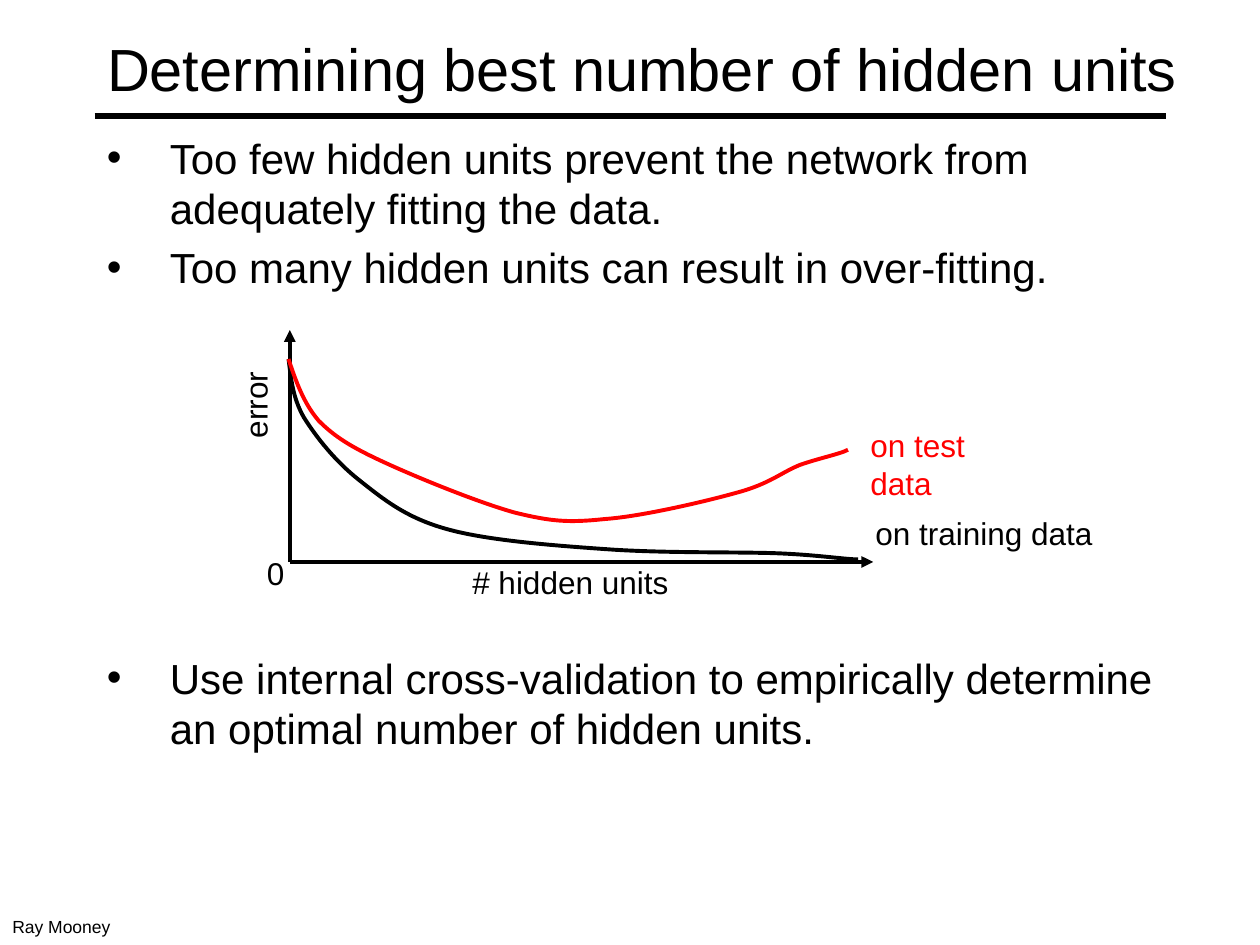
from dataclasses import dataclass

from lxml import etree
from pptx import Presentation
from pptx.dml.color import RGBColor
from pptx.enum.shapes import MSO_CONNECTOR
from pptx.enum.text import MSO_ANCHOR, PP_ALIGN
from pptx.oxml.ns import qn
from pptx.util import Inches, Pt

STRAIGHT = MSO_CONNECTOR.STRAIGHT
LEFT = PP_ALIGN.LEFT
MIDDLE, TOP = MSO_ANCHOR.MIDDLE, MSO_ANCHOR.TOP


@dataclass(frozen=True)
class Theme:
    font: str = "Arial"
    ink: RGBColor = RGBColor(0, 0, 0)
    red: RGBColor = RGBColor(255, 0, 0)
    title: float = 34
    body: float = 24
    label: float = 18
    foot: float = 10
    rule: float = 3
    line: float = 2.25


THEME = Theme()

# Curve points in inches from the shared start: two controls and an end per bend
TRAIN = [
    (0.02, 0.15), (0.03, 0.3), (0.12, 0.46),
    (0.22, 0.62), (0.37, 0.81), (0.56, 0.96),
    (0.75, 1.11), (0.93, 1.26), (1.26, 1.35),
    (1.58, 1.44), (2.11, 1.48), (2.54, 1.51),
    (2.97, 1.54), (3.51, 1.53), (3.84, 1.54),
    (4.17, 1.55), (4.42, 1.59), (4.52, 1.59),
]
TEST = [
    (0.06, 0.18), (0.12, 0.35), (0.24, 0.49),
    (0.37, 0.62), (0.5, 0.7), (0.76, 0.82),
    (1.02, 0.94), (1.51, 1.14), (1.8, 1.22),
    (2.09, 1.29), (2.22, 1.3), (2.51, 1.27),
    (2.8, 1.25), (3.31, 1.13), (3.56, 1.06),
    (3.82, 0.99), (3.91, 0.9), (4.06, 0.84),
    (4.2, 0.79), (4.39, 0.75), (4.44, 0.72),
]


def style(para, size, color):
    para.alignment = LEFT
    for run in para.runs:
        run.font.name = THEME.font
        run.font.size = Pt(size)
        run.font.color.rgb = color


def add_text(slide, box, text, size, color=THEME.ink, wrap=False, turn=0):
    shape = slide.shapes.add_textbox(*map(Inches, box))
    shape.rotation = turn
    frame = shape.text_frame
    frame.word_wrap = wrap
    frame.vertical_anchor = TOP
    frame.text = text
    for para in frame.paragraphs:
        style(para, size, color)
    return frame


def add_line(slide, start, end, width, arrow=False):
    line = slide.shapes.add_connector(STRAIGHT, *map(Inches, start + end))
    line.line.color.rgb = THEME.ink
    line.line.width = Pt(width)
    if arrow:
        tip = etree.SubElement(line.line._get_or_add_ln(), qn("a:tailEnd"))
        tip.set("type", "triangle")
    etree.SubElement(line._element.spPr, qn("a:effectLst"))


def add_curve(slide, start, points, color):
    left, top = start
    build = slide.shapes.build_freeform(Inches(left), Inches(top))
    build.add_line_segments(
        [(Inches(left + x), Inches(top + y)) for x, y in points], close=False)
    shape = build.convert_to_shape()
    shape.shadow.inherit = False
    shape.fill.background()
    shape.line.color.rgb = color
    shape.line.width = Pt(THEME.line)
    # Join each three segments into one smooth bend
    steps = list(shape._element.iter(qn("a:lnTo")))
    for i in range(0, len(steps), 3):
        bend = etree.Element(qn("a:cubicBezTo"))
        steps[i].addprevious(bend)
        for step in steps[i:i + 3]:
            bend.append(step[0])
            step.getparent().remove(step)


def add_title(slide, box, text):
    left, top, width, height = box
    title = slide.shapes.title
    title.left, title.top, title.width, title.height = map(Inches, box)
    frame = title.text_frame
    frame.text = text
    frame.word_wrap = True
    frame.vertical_anchor = MIDDLE
    style(frame.paragraphs[0], THEME.title, THEME.ink)
    # Rule under the title
    base = top + height - 0.08
    add_line(slide, (left, base), (left + 8.5, base), THEME.rule)


def add_body(slide, box, items):
    """Items are (text, space before in points)."""
    text = "\n".join(item for item, gap in items)
    frame = add_text(slide, box, text, THEME.body, wrap=True)
    for para, (item, gap) in zip(frame.paragraphs, items):
        props = para._p.get_or_add_pPr()
        props.set("marL", str(Inches(0.5)))
        props.set("indent", str(-Inches(0.5)))
        etree.SubElement(props, qn("a:buFont")).set("typeface", THEME.font)
        etree.SubElement(props, qn("a:buChar")).set("char", "•")
        para.space_before = Pt(gap)


def add_plot(slide, box):
    left, top, width, height = box
    base = top + height
    # Axes
    add_line(slide, (left, base), (left, top), THEME.line, arrow=True)
    add_line(slide, (left, base), (left + width, base), THEME.line, arrow=True)
    # Labels, placed from the top left of the plot
    labels = [
        ("error", -0.63, 0.37, 0.74, THEME.ink, False, 270),
        ("on training data", 4.55, 1.41, 1.94, THEME.ink, False, 0),
        ("on test data", 4.51, 0.71, 1.2, THEME.red, True, 0),
        ("0", -0.28, 1.73, 0.34, THEME.ink, False, 0),
        ("# hidden units", 1.35, 1.8, 1.77, THEME.ink, False, 0),
    ]
    for text, x, y, wide, color, wrap, turn in labels:
        add_text(slide, (left + x, top + y, wide, 0.43), text,
                 THEME.label, color, wrap, turn)
    # Error curves
    start = (left - 0.01, top + 0.23)
    add_curve(slide, start, TRAIN, THEME.ink)
    add_curve(slide, start, TEST, THEME.red)


def main():
    deck = Presentation()
    deck.slide_width, deck.slide_height = Inches(10), Inches(7.5)
    slide = deck.slides.add_slide(deck.slide_layouts[5])
    add_title(slide, (0.75, 0.08, 8.74, 0.92),
              "Determining best number of hidden units")
    add_body(slide, (0.75, 1, 8.5, 5.75), [
        ("Too few hidden units prevent the network from "
         "adequately fitting the data.", 0),
        ("Too many hidden units can result in over-fitting.", 4.8),
        ("Use internal cross-validation to empirically determine "
         "an optimal number of hidden units.", 206),
    ])
    add_plot(slide, (2.3, 2.62, 4.63, 1.84))
    add_text(slide, (0, 7.22, 0.99, 0.27), "Ray Mooney", THEME.foot)
    deck.save("out.pptx")


if __name__ == "__main__":
    main()
